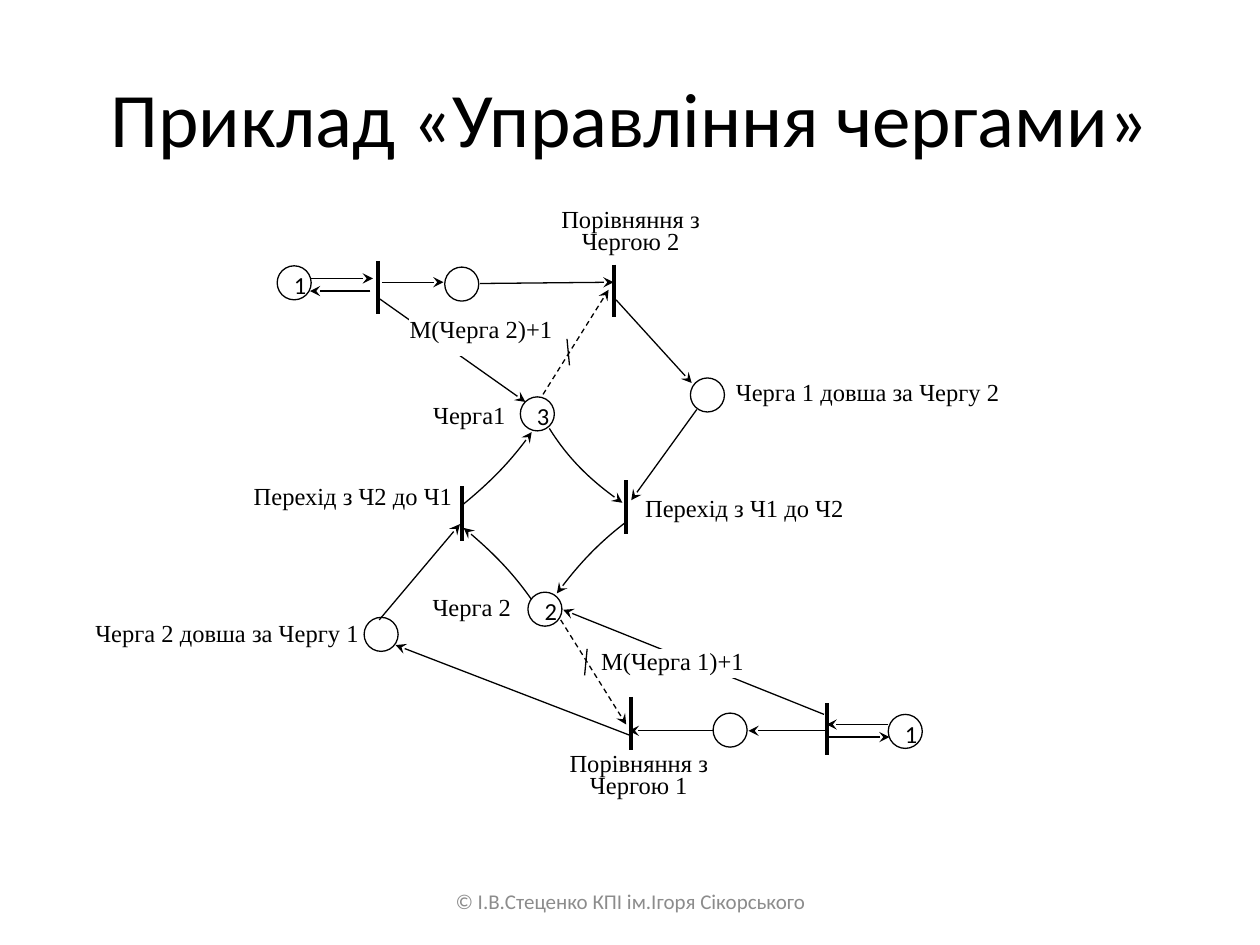
from pptx import Presentation
from pptx.dml.color import RGBColor
from pptx.enum.dml import MSO_LINE
from pptx.enum.shapes import MSO_CONNECTOR, MSO_SHAPE
from pptx.enum.text import MSO_ANCHOR, PP_ALIGN
from pptx.oxml.ns import qn
from pptx.util import Inches, Pt
from lxml.etree import SubElement

BLACK = RGBColor(0x00, 0x00, 0x00)
WHITE = RGBColor(0xFF, 0xFF, 0xFF)
GRAY = RGBColor(0x8C, 0x8C, 0x8C)
PLACE_SIZE = 0.27
LEFT, CENTER, RIGHT, JUSTIFY = PP_ALIGN.LEFT, PP_ALIGN.CENTER, PP_ALIGN.RIGHT, PP_ALIGN.JUSTIFY
TOP, MIDDLE = MSO_ANCHOR.TOP, MSO_ANCHOR.MIDDLE


def set_values(target, values):
    for name, value in values.items():
        setattr(target, name, value)


def shift(box, x, y):
    return Inches(box[0] + x), Inches(box[1] + y)


def write(shape, text, font, size, color, align, anchor, spacing=1.0, inset=None):
    frame = shape.text_frame
    set_values(frame, {"word_wrap": True, "vertical_anchor": anchor})
    if inset is not None:
        sides = ("left", "top", "right", "bottom")
        set_values(frame, {f"margin_{side}": Inches(inset) for side in sides})
    para = frame.paragraphs[0]
    set_values(para, {"alignment": align, "line_spacing": spacing})
    span = para.add_run()
    span.text = text
    set_values(span.font, {"name": font, "size": Pt(size)})
    span.font.color.rgb = color


def style_line(shape, width=0.75, color=BLACK, dashed=False, arrow=False):
    shape.line.width = Pt(width)
    shape.line.color.rgb = color
    if dashed:
        shape.line.dash_style = MSO_LINE.DASH
    if arrow:
        SubElement(shape.line._get_or_add_ln(), qn("a:tailEnd"), type="stealth")


def add_line(page, box, start, end, **style):
    line = page.shapes.add_connector(MSO_CONNECTOR.STRAIGHT, *shift(box, *start), *shift(box, *end))
    style_line(line, **style)
    SubElement(line._element.spPr, qn("a:effectLst"))


def add_arrows(page, box, arrows):
    for x1, y1, x2, y2 in arrows:
        add_line(page, box, (x1, y1), (x2, y2), arrow=True)


def add_bars(page, box, bars):
    for x, top, bottom in bars:
        add_line(page, box, (x, top), (x, bottom), width=2.25)


def add_solid(page, box, kind, x, y, width, height, line_color):
    shape = page.shapes.add_shape(kind, *shift(box, x, y), Inches(width), Inches(height))
    shape.shadow.inherit = False
    shape.fill.solid()
    shape.fill.fore_color.rgb = WHITE
    style_line(shape, color=line_color)
    return shape


def add_places(page, box, places):
    for x, y, marking in places:
        place = add_solid(page, box, MSO_SHAPE.OVAL, x, y, PLACE_SIZE, PLACE_SIZE, BLACK)
        if marking:
            write(place, marking, "Calibri", 14, BLACK, CENTER, TOP, 0.75)


def add_labels(page, box, labels):
    for x, y, width, height, text, align, anchor in labels:
        label = add_solid(page, box, MSO_SHAPE.RECTANGLE, x, y, width, height, WHITE)
        write(label, text, "Times New Roman", 14, BLACK, align, anchor, 0.75, 0)


def add_curve(page, box, start, *points):
    builder = page.shapes.build_freeform(*shift(box, *start), scale=1.0)
    builder.add_line_segments([shift(box, *point) for point in points], close=False)
    curve = builder.convert_to_shape()
    curve.shadow.inherit = False
    curve.fill.background()
    style_line(curve, arrow=True)
    segments = curve._element.xpath(".//a:lnTo")
    outline = segments[0].getparent()
    bezier = SubElement(outline, qn("a:cubicBezTo"))
    for segment in segments:
        bezier.append(segment[0])
        outline.remove(segment)


def add_caption(page, box, text, size, color):
    caption = page.shapes.add_textbox(*[Inches(length) for length in box])
    write(caption, text, "Calibri", size, color, CENTER, MIDDLE)


def add_first_arrivals(page, box):
    add_arrows(page, box, [
        (0.47, 0.21, 0.96, 0.21),
        (0.94, 0.31, 0.46, 0.31),
        (1.03, 0.24, 1.52, 0.24),
        (1.81, 0.25, 2.87, 0.24),
        (1.01, 0.37, 2.17, 1.19),
    ])
    add_bars(page, box, [(1, 0.07, 0.49)])
    add_places(page, box, [(0.2, 0.11, "1"), (1.53, 0.12, "")])


def add_second_arrivals(page, box):
    add_arrows(page, box, [
        (2.58, 0.85, 3.06, 0.85),
        (3.05, 0.75, 2.56, 0.75),
        (2.56, 0.8, 1.94, 0.8),
        (1.66, 0.8, 0.99, 0.8),
        (2.54, 0.67, 0.47, -0.16),
    ])
    add_bars(page, box, [(2.56, 0.58, 0.99)])
    add_places(page, box, [(3.05, 0.67, "1"), (1.66, 0.66, "")])


def add_queues(page, box):
    add_labels(page, box, [
        (4.39, 0.67, 1.23, 0.35, "Порівняння з Чергою 2", CENTER, TOP),
        (3.25, 1.44, 1.21, 0.38, "М(Черга 2)+1", JUSTIFY, MIDDLE),
        (5.84, 2.05, 2.39, 0.24, "Черга 1 довша за Чергу 2", LEFT, TOP),
        (3.33, 2.23, 0.79, 0.13, "Черга1", CENTER, TOP),
        (1.77, 2.87, 1.82, 0.26, "Перехід з Ч2 до Ч1", RIGHT, TOP),
        (5.12, 2.97, 1.95, 0.25, "Перехід з Ч1 до Ч2", LEFT, TOP),
        (3.33, 3.75, 0.83, 0.27, "Черга 2", CENTER, TOP),
        (0.69, 3.96, 2.16, 0.18, "Черга 2 довша за Чергу 1", RIGHT, TOP),
        (4.77, 4.16, 1.42, 0.22, "М(Черга 1)+1", JUSTIFY, MIDDLE),
        (4.51, 4.99, 1.12, 0.35, "Порівняння з Чергою 1", CENTER, TOP),
    ])
    add_bars(page, box, [
        (4.87, 1.1, 1.52), (3.67, 2.86, 3.29), (4.97, 2.81, 3.24), (5.01, 4.53, 4.95),
    ])
    add_arrows(page, box, [
        (4.89, 1.38, 5.49, 2.04),
        (5.53, 2.25, 5.01, 2.97),
        (5.01, 4.84, 3.14, 4.12),
    ])
    for start, end in [((4.31, 2.13), (4.83, 1.3)), ((4.45, 3.92), (4.97, 4.75))]:
        add_line(page, box, start, end, dashed=True, arrow=True)
    for start, end in [((4.5, 1.69), (4.52, 1.9)), ((4.64, 4.36), (4.66, 4.15))]:
        add_line(page, box, start, end)
    for points in [
        ((3.68, 3), (3.9, 2.82), (4.08, 2.63), (4.22, 2.43)),
        ((4.36, 2.4), (4.51, 2.64), (4.72, 2.84), (4.94, 2.99)),
        ((4.96, 3.15), (4.74, 3.32), (4.56, 3.52), (4.42, 3.71)),
        ((4.22, 3.76), (4.08, 3.56), (3.9, 3.37), (3.68, 3.19)),
    ]:
        add_curve(page, box, *points)
    add_places(page, box, [
        (4.13, 2.15, "3"), (5.48, 2, ""), (4.19, 3.7, "2"), (2.89, 3.9, ""),
    ])
    add_arrows(page, box, [(3.01, 3.92, 3.65, 3.16)])


def main():
    deck = Presentation()
    set_values(deck, {"slide_width": Inches(10), "slide_height": Inches(7.5)})
    page = deck.slides.add_slide(deck.slide_layouts[6])
    add_caption(page, (0.5, 0.3, 9, 1.25), "Приклад «Управління чергами»", 44, BLACK)
    add_first_arrivals(page, (2, 2))
    add_second_arrivals(page, (4, 5))
    add_queues(page, (0, 1))
    add_caption(page, (3.42, 6.95, 3.17, 0.4), "© І.В.Стеценко КПІ ім.Ігоря Сікорського", 12, GRAY)
    deck.save("out.pptx")


if __name__ == "__main__":
    main()
